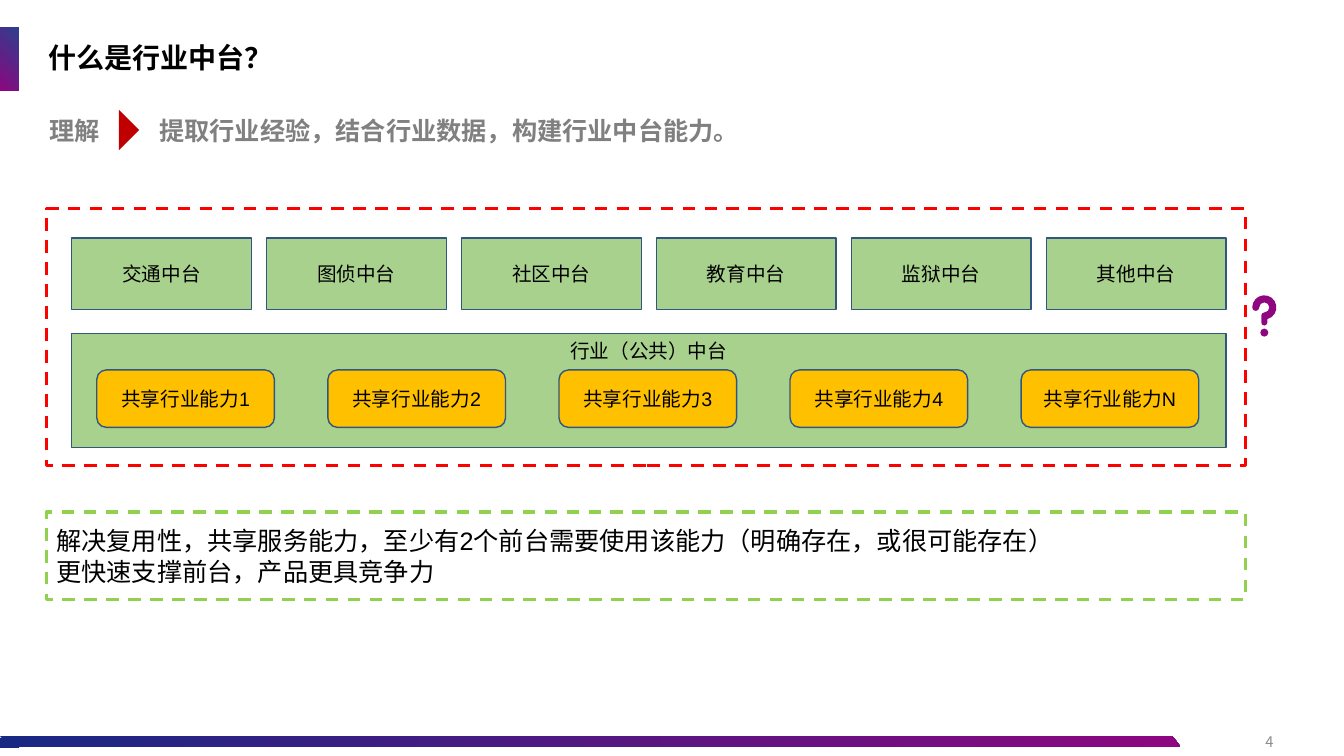
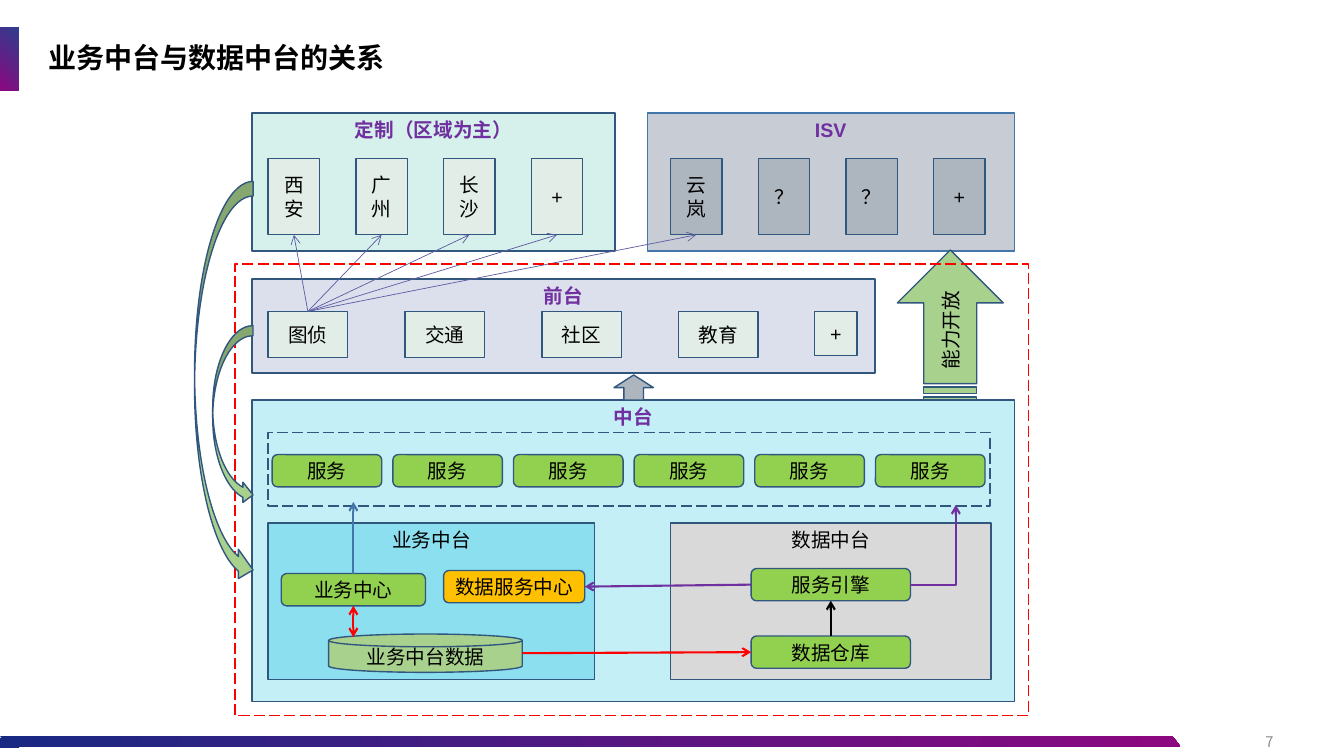
from dataclasses import dataclass
from math import cos, radians, sin, tan

from lxml.etree import SubElement
from pptx import Presentation
from pptx.dml.color import RGBColor
from pptx.enum.dml import MSO_LINE as Dash
from pptx.enum.shapes import MSO_CONNECTOR as Connector, MSO_SHAPE as Shape
from pptx.enum.text import MSO_ANCHOR as Anchor, PP_ALIGN as Align
from pptx.oxml.ns import qn
from pptx.util import Emu, Pt

SCALE = 9144
FONT, NUMBER_FONT = "Arial", "Noto Sans CJK SC"
COLORS = {
    "black": "000000", "gray": "808080", "number": "8C8C8C", "outline": "31577E",
    "blue": "4276AA", "indigo": "5E5CA2", "violet": "7030A0", "red": "FF0000",
    "crimson": "C00000", "navy": "182983", "magenta": "8D0780", "sage": "A9D18E",
    "lime": "92D050", "amber": "FFC000", "aqua": "C5EFF7", "cyan": "8CDFEF",
    "lavender": "DCE0ED", "mint": "D6F0EB", "steel": "C8CDD5", "slate": "ADB5BF",
    "pale": "E1EDE6", "silver": "D9D9D9", "plum": "8F0780",
}


@dataclass
class Box:
    """A rectangle in px, from which inner boxes and edge midpoints are derived."""
    x: float
    y: float
    w: float
    h: float

    def inner(self, dx, dy, w, h):
        """Return a box offset from this box's corner."""
        return Box(self.x + dx, self.y + dy, w, h)

    def columns(self, count, gap):
        """Split the box into equal columns."""
        width = (self.w - gap * (count - 1)) / count
        return [self.inner(i * (width + gap), 0, width, self.h) for i in range(count)]

    def point(self, across, down):
        """Return the point at the given fractions of the box."""
        return self.x + self.w * across, self.y + self.h * down

    def emu(self):
        """Return left, top, width and height in EMU."""
        return [px(value) for value in (self.x, self.y, self.w, self.h)]


def px(value):
    """Turn px into EMU."""
    return Emu(round(value * SCALE))


def rgb(name):
    """Look up a named colour."""
    return RGBColor.from_string(COLORS[name])


def write(shape, text, size=14, color="black", bold=False, align=Align.CENTER,
          anchor=Anchor.MIDDLE, font=FONT, spacing=None):
    """Fill a shape with evenly styled text."""
    frame = shape.text_frame
    frame.word_wrap = True
    frame.vertical_anchor = anchor
    frame.text = text
    for paragraph in frame.paragraphs:
        paragraph.alignment = align
        paragraph.line_spacing = spacing
        paragraph.font.name = font
        paragraph.font.size = Pt(size)
        paragraph.font.bold = bold
        paragraph.font.color.rgb = rgb(color)


def add_text(slide, box, text, inset=True, **style):
    """Add a text box, with or without inner margins."""
    shape = slide.shapes.add_textbox(*box.emu())
    write(shape, text, **style)
    if not inset:
        frame = shape.text_frame
        frame.margin_left = frame.margin_right = frame.margin_top = frame.margin_bottom = 0


def add_block(slide, box, fill=None, text="", kind=Shape.RECTANGLE, line="outline",
              weight=1, dash=None, **style):
    """Add a preset shape with fill, outline and text."""
    shape = slide.shapes.add_shape(kind, *box.emu())
    shape.shadow.inherit = False
    if fill:
        shape.fill.solid()
        shape.fill.fore_color.rgb = rgb(fill)
    else:
        shape.fill.background()
    if line:
        shape.line.color.rgb = rgb(line)
        shape.line.width = Pt(weight)
        if dash:
            shape.line.dash_style = dash
    else:
        shape.line.fill.background()
    if text:
        write(shape, text, **style)
    return shape


def add_panel(slide, box, fill, heading, color="violet", line="outline"):
    """Add a panel headed at its top edge."""
    add_block(slide, box, fill, heading, line=line, color=color,
              bold=color == "violet", anchor=Anchor.TOP)


def add_row(slide, box, gap, labels, fill, kind=Shape.RECTANGLE):
    """Add equal labelled tiles across a box and return their boxes."""
    tiles = box.columns(len(labels), gap)
    for tile, label in zip(tiles, labels):
        add_block(slide, tile, fill, label, kind)
    return tiles


def add_arrow(slide, start, end, color, weight=1.5, both=False, bent=False):
    """Add an arrow between two points, straight or with one corner."""
    kind = Connector.ELBOW if bent else Connector.STRAIGHT
    arrow = slide.shapes.add_connector(kind, *[px(v) for v in (*start, *end)])
    arrow.line.color.rgb = rgb(color)
    arrow.line.width = Pt(weight)
    properties = arrow._element.spPr
    if bent:
        properties.find(qn("a:prstGeom")).set("prst", "bentConnector2")
    line = properties.find(qn("a:ln"))
    for end_name in ("a:headEnd", "a:tailEnd") if both else ("a:tailEnd",):
        SubElement(line, qn(end_name)).set("type", "arrow")
    SubElement(properties, qn("a:effectLst"))


def set_gradient(shape, angle, alpha=100):
    """Give a shape the navy to magenta gradient."""
    shape.fill.gradient()
    shape.fill.gradient_angle = angle
    for stop, name in zip(shape.fill.gradient_stops, ("navy", "magenta")):
        stop.color.rgb = rgb(name)
    if alpha < 100:
        first = next(shape._element.spPr.iter(qn("a:srgbClr")))
        SubElement(first, qn("a:alpha")).set("val", str(alpha * 1000))


def add_slide(presentation, title, number):
    """Add a slide with its title, accent, footer band and page number."""
    slide = presentation.slides.add_slide(presentation.slide_layouts[6])
    accent = add_block(slide, Box(0, 27, 18, 63), line=None)
    set_gradient(accent, 225, 90)
    add_text(slide, Box(973, 716, 300, 40), str(number), size=10.5, color="number",
             align=Align.RIGHT, font=NUMBER_FONT)
    band = add_block(slide, Box(0, 730, 1171, 11), kind=Shape.PARALLELOGRAM, line=None)
    band.adjustments[0] = 0.78
    band._element.spPr.find(qn("a:xfrm")).set("flipH", "1")
    set_gradient(band, 180)
    add_block(slide, Box(0, 732, 19, 10), "navy", line=None)
    add_text(slide, Box(38, 27, 1110, 63), title, size=20, bold=True,
             align=Align.LEFT, spacing=0.9)
    return slide


def add_statement(slide, box, label, statement):
    """Add a label, a pointer and the statement it leads to."""
    style = dict(inset=False, size=18, color="gray", bold=True,
                 align=Align.LEFT, anchor=Anchor.TOP)
    add_text(slide, box.inner(0, 0, 51, box.h), label, **style)
    pointer = add_block(slide, box.inner(59, 5, 40, 20), "crimson",
                        kind=Shape.FLOWCHART_MERGE, line=None)
    pointer.rotation = 270
    add_text(slide, box.inner(109, 0, box.w - 109, box.h), statement, **style)


def add_platforms(slide, box):
    """Add the framed industry platforms above their shared abilities."""
    add_block(slide, box, line="red", weight=2.25, dash=Dash.DASH)
    common = box.inner(25, 124, 1145, 113)
    add_panel(slide, common, "sage", "行业（公共）中台", color="black")
    names = ("交通", "图侦", "社区", "教育", "监狱", "其他")
    add_row(slide, box.inner(25, 29, 1145, 71), 15, [name + "中台" for name in names], "sage")
    add_row(slide, common.inner(25, 36, 1093, 57), 53,
            ["共享行业能力" + mark for mark in "1234N"], "amber", Shape.ROUNDED_RECTANGLE)


def arc(x, y, radius, start, end, count):
    """Return an arc's first point, then three curve points for each of its parts."""
    step = radians(end - start) / count
    reach = 4 / 3 * tan(step / 4)
    points = [(x + radius * cos(radians(start)), y + radius * sin(radians(start)))]
    for i in range(count):
        a = radians(start) + i * step
        b = a + step
        points += [(x + radius * (cos(a) - reach * sin(a)), y + radius * (sin(a) + reach * cos(a))),
                   (x + radius * (cos(b) + reach * sin(b)), y + radius * (sin(b) - reach * cos(b))),
                   (x + radius * cos(b), y + radius * sin(b))]
    return points


def add_question_mark(slide, box):
    """Add a rounded question mark drawn with curves in the box."""
    hook = [arc(12, 12, 12, 180, 435, 3), arc(12, 27, 3, 0, 180, 2),
            arc(12, 20, 3, 180, 270, 1), arc(12, 12, 5, 90, -180, 3),
            arc(3.5, 12, 3.5, 0, 180, 2)]
    dot = [arc(12, 37, 4, 0, 360, 4)]
    builder = None
    curved = []
    for arcs in (hook, dot):
        points = [(px(box.x + x), px(box.y + y)) for part in arcs for x, y in part]
        if builder:
            builder.move_to(*points[0])
        else:
            builder = slide.shapes.build_freeform(*points[0])
        builder.add_line_segments(points[1:], close=False)
        curved += [i > 0 for part in arcs for i in range(len(part))][1:]
    mark = builder.convert_to_shape()
    steps = list(mark._element.spPr.iter(qn("a:lnTo")))
    curve_steps = [step for step, is_curve in zip(steps, curved) if is_curve]
    for i in range(0, len(curve_steps), 3):
        first, *rest = curve_steps[i:i + 3]
        for step in rest:
            first.append(step[0])
            step.getparent().remove(step)
        first.tag = qn("a:cubicBezTo")
    mark.shadow.inherit = False
    mark.fill.solid()
    mark.fill.fore_color.rgb = rgb("plum")
    mark.line.fill.background()


def add_clients(slide, box, heading, labels, fill, tile_fill, inset, line="outline"):
    """Add a panel of client tiles and return the tile boxes."""
    add_panel(slide, box, fill, heading, line=line)
    return add_row(slide, box.inner(inset, 45, 312, 76), 36, labels, tile_fill)


def add_front(slide, box):
    """Add the front-end panel and return its first tile."""
    add_panel(slide, box, "lavender", "前台")
    tiles = add_row(slide, box.inner(16, 32, 486, 46), 57,
                    ("图侦", "交通", "社区", "教育"), "pale")
    add_block(slide, box.inner(558, 32, 42, 44), "pale", "+")
    return tiles[0]


def add_middle(slide, box):
    """Add the middle platform with its services, two halves and data flows."""
    add_panel(slide, box, "aqua", "中台")
    services = box.inner(16, 32, 716, 73)
    add_block(slide, services, dash=Dash.LONG_DASH)
    rounded = Shape.ROUNDED_RECTANGLE
    add_row(slide, services.inner(4, 22, 707, 32), 11, ["服务"] * 6, "lime", rounded)

    business = box.inner(16, 122, 324, 155)
    data = box.inner(415, 122, 318, 155)
    add_panel(slide, business, "cyan", "业务中台", color="black")
    add_panel(slide, data, "silver", "数据中台", color="black")
    center = business.inner(13, 50, 143, 32)
    exchange = business.inner(174, 47, 140, 32)
    store = business.inner(60, 110, 192, 38)
    engine = data.inner(80, 45, 158, 32)
    warehouse = data.inner(80, 112, 158, 32)
    for part, fill, label, kind in (
            (center, "lime", "业务中心", rounded),
            (exchange, "amber", "数据服务中心", rounded),
            (store, "sage", "业务中台数据", Shape.FLOWCHART_MAGNETIC_DISK),
            (engine, "lime", "服务引擎", rounded),
            (warehouse, "lime", "数据仓库", rounded)):
        add_block(slide, part, fill, label, kind)

    below = center.point(0.5, 1)
    add_arrow(slide, below, (below[0], store.y + 3), "red", both=True)
    add_arrow(slide, store.point(1, 0.5), warehouse.point(0, 0.5), "red")
    add_arrow(slide, warehouse.point(0.5, 0), engine.point(0.5, 1), "black")
    add_arrow(slide, engine.point(0, 0.5), exchange.point(1, 0.5), "violet")
    add_arrow(slide, engine.point(1, 0.5), (services.x + 682, services.y + 72),
              "violet", bent=True)
    add_arrow(slide, center.point(0.5, 0), (below[0], services.y + 69), "blue")


def add_relations(slide, box):
    """Add the layered platform diagram with the arrows between layers."""
    add_middle(slide, box.inner(57, 285, 756, 299))
    first = add_front(slide, box.inner(57, 165, 618, 93))
    custom = add_clients(slide, box.inner(57, 0, 360, 137), "定制（区域为主）",
                         ("西安", "广州", "长沙", "+"), "mint", "pale", 16)
    partners = add_clients(slide, box.inner(449, 0, 364, 137), "ISV",
                           ("云岚", "？", "？", "+"), "steel", "slate", 23, "blue")
    add_block(slide, box.inner(416, 260, 39, 25), "slate", kind=Shape.UP_ARROW)
    for tile in custom + partners[:1]:
        add_arrow(slide, first.point(0.5, 0), tile.point(0.5, 1), "indigo", 0.5)
    opening = add_block(slide, box.inner(675, 158, 149, 105), "sage", "能力开放",
                        Shape.STRIPED_RIGHT_ARROW)
    opening.rotation = 270
    add_block(slide, box.inner(40, 150, 787, 448), line="red", dash=Dash.LONG_DASH)
    for loop in (box.inner(18, 211, 40, 178), box.inner(0, 68, 58, 400)):
        add_block(slide, loop, "sage", kind=Shape.CURVED_RIGHT_ARROW)


def main():
    """Build the presentation."""
    presentation = Presentation()
    presentation.slide_width, presentation.slide_height = px(1333), px(750)

    slide = add_slide(presentation, "什么是行业中台？", 4)
    add_block(slide, Box(46, 508, 1189, 87), line="lime", weight=2.25, dash=Dash.DASH,
              text="解决复用性，共享服务能力，至少有2个前台需要使用该能力（明确存在，或很可能存在）\n"
                   "更快速支撑前台，产品更具竞争力", size=18, align=Align.LEFT)
    add_statement(slide, Box(49, 114, 1132, 30), "理解",
                  "提取行业经验，结合行业数据，构建行业中台能力。")
    add_platforms(slide, Box(46, 207, 1189, 255))
    add_question_mark(slide, Box(1242, 293, 24, 41))

    slide = add_slide(presentation, "业务中台与数据中台的关系", 7)
    add_relations(slide, Box(193, 112, 827, 598))
    presentation.save("out.pptx")


if __name__ == "__main__":
    main()
